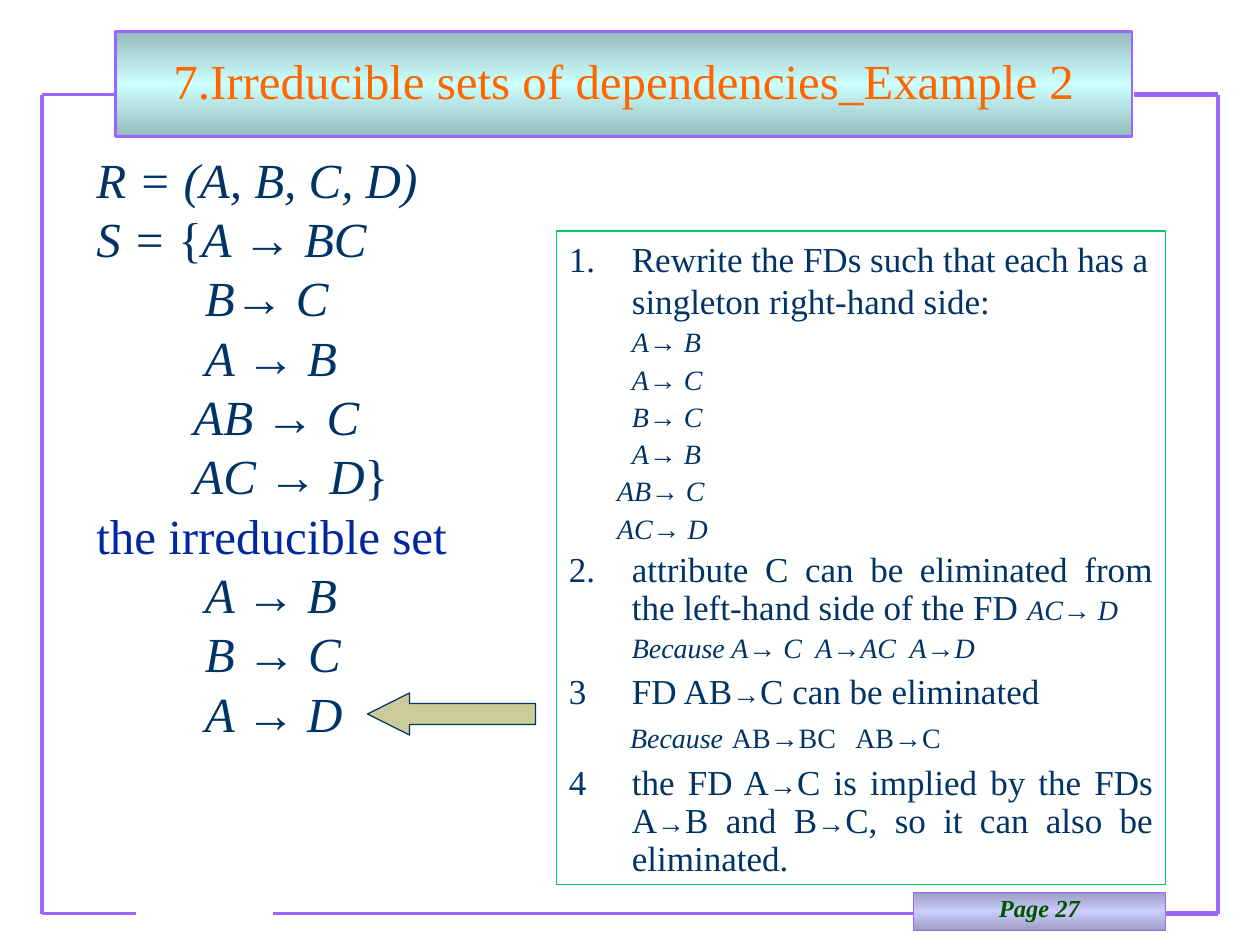
"""Build the slide on irreducible sets of dependencies."""
from copy import deepcopy

from lxml import etree
from pptx import Presentation
from pptx import util as u
from pptx.dml.color import RGBColor
from pptx.enum import shapes, text
from pptx.oxml.ns import qn

VIOLET = RGBColor(0x99, 0x66, 0xFF)
NAVY = RGBColor(0x00, 0x33, 0x66)
BLUE = RGBColor(0x00, 0x27, 0x9F)
ORANGE = RGBColor(0xFF, 0x66, 0x00)
DARK_GREEN = RGBColor(0x00, 0x54, 0x00)
GREEN = RGBColor(0x00, 0xCC, 0x66)
KHAKI = RGBColor(0xCC, 0xCC, 0x99)
TEAL, CYAN = RGBColor(0x96, 0xBB, 0xBB), RGBColor(0xCC, 0xFF, 0xFF)
SLATE, LILAC = RGBColor(0x9C, 0x9C, 0xC3), RGBColor(0xCC, 0xCC, 0xFF)

SERIF, SANS = "Times New Roman", "Arial"
ARROW = "→"
JUSTIFY, CENTER, LEFT = text.PP_ALIGN.JUSTIFY, text.PP_ALIGN.CENTER, text.PP_ALIGN.LEFT


def add_line(page, x1, y1, x2, y2, width=2.25):
    """Draw one straight piece of the page frame."""
    line = page.shapes.add_connector(
        shapes.MSO_CONNECTOR.STRAIGHT, u.Pt(x1), u.Pt(y1), u.Pt(x2), u.Pt(y2))
    line.line.color.rgb = VIOLET
    line.line.width = u.Pt(width)
    etree.SubElement(line._element.spPr, qn("a:effectLst"))


def add_box(page, kind, left, top, width, height, outline, line_width=0.75):
    """Add an outlined, unfilled preset shape without shadow."""
    box = page.shapes.add_shape(kind, u.Pt(left), u.Pt(top), u.Pt(width), u.Pt(height))
    box.shadow.inherit = False
    box.fill.background()
    box.line.color.rgb = outline
    box.line.width = u.Pt(line_width)
    return box


def fill_gradient(box, edge, middle):
    """Fill a shape with a vertical gradient that is mirrored at its middle."""
    box.fill.gradient()
    box.fill.gradient_angle = 90
    stop_list = box._element.spPr.find(qn("a:gradFill")).find(qn("a:gsLst"))
    stop_list.append(deepcopy(stop_list[0]))
    for stop, position, color in zip(box.fill.gradient_stops, (0, 0.5, 1), (edge, middle, edge)):
        stop.position = position
        stop.color.rgb = color


def start_text(box, anchor=text.MSO_ANCHOR.TOP):
    """Turn on wrapping and return the text frame."""
    frame = box.text_frame
    frame.word_wrap = True
    frame.vertical_anchor = anchor
    return frame


def add_para(frame, spans, size, spacing, before=0, color=NAVY, italic=False, bold=False,
             align=JUSTIFY, indent=0, hanging=0, number=None):
    """Write a paragraph; spans are a string or (string, size, italic) triples."""
    first = not frame.paragraphs[0].runs
    para = frame.paragraphs[0] if first else frame.add_paragraph()
    para.alignment = align
    para.line_spacing = u.Pt(spacing)
    para.space_before = u.Pt(0 if first else before)
    properties = para._p.get_or_add_pPr()
    properties.set("marL", str(u.Pt(indent)))
    properties.set("indent", str(u.Pt(-hanging)))
    if number:
        etree.SubElement(properties, qn("a:buFont"), typeface=SERIF)
        etree.SubElement(properties, qn("a:buAutoNum"), type="arabicPeriod", startAt=str(number))
    font = para.font
    font.name, font.size, font.italic, font.bold = SERIF, u.Pt(size), italic, bold
    font.color.rgb = color
    if isinstance(spans, str):
        spans = [(spans, size, italic)]
    for words, span_size, span_italic in spans:
        for index, part in enumerate(words.split(ARROW)):
            pieces = [(ARROW, SANS)] if index else []
            for piece, name in pieces + [(part, SERIF)]:
                if not piece:
                    continue
                span = para.add_run()
                span.text = piece
                if name != SERIF:
                    span.font.name = name
                if span_size != size:
                    span.font.size = u.Pt(span_size)
                if span_italic != italic:
                    span.font.italic = span_italic


def add_frame(page):
    """Draw the frame lines around the page."""
    left, right, top, bottom = 24, 696, 54, 522
    add_line(page, 66, top, left, top)
    add_line(page, left, top, left, bottom)
    add_line(page, left, bottom, 78, bottom)
    add_line(page, 648, top, right, top, 3)
    add_line(page, right, top, right, bottom)
    add_line(page, 666, bottom, right, bottom, 3)
    add_line(page, 156, bottom, 522, bottom)


def add_banners(page):
    """Add the page number and the title on gradient bars."""
    rectangle = shapes.MSO_SHAPE.RECTANGLE
    number = add_box(page, rectangle, 522, 510, 144, 21.6, VIOLET)
    fill_gradient(number, SLATE, LILAC)
    add_para(start_text(number), "Page 27", 14, 13.4, color=DARK_GREEN,
             italic=True, bold=True, align=CENTER)
    title = add_box(page, rectangle, 66, 18, 581, 60, VIOLET, 1.5)
    fill_gradient(title, TEAL, CYAN)
    add_para(start_text(title, text.MSO_ANCHOR.MIDDLE),
             "7.Irreducible sets of dependencies_Example 2", 28, 28.6,
             color=ORANGE, align=CENTER)


def add_problem(page):
    """Write the relation, its dependencies and the irreducible set."""
    box = page.shapes.add_textbox(u.Pt(48), u.Pt(88.5), u.Pt(626.5), u.Pt(372))
    frame = start_text(box)
    single, double = 62, 55.5
    rows = [
        ("R = (A, B, C, D)", 0),
        ([("S = ", 28, True), ("{", 28, False), ("A → BC", 28, True)], 0),
        ("B→ C", single),
        ("A → B", single),
        ("AB → C", double),
        ([("AC → D", 28, True), ("}", 28, False)], double),
    ]
    result = [(words, single) for words in ("A → B", "B → C", "A → D")]
    style = dict(size=28, spacing=26.9, before=7)
    for words, indent in rows:
        add_para(frame, words, italic=True, indent=indent, **style)
    add_para(frame, "the irreducible set", color=BLUE, **style)
    for words, indent in result:
        add_para(frame, words, italic=True, indent=indent, **style)


def add_steps(page):
    """Write the numbered derivation in the outlined panel."""
    panel = add_box(page, shapes.MSO_SHAPE.RECTANGLE, 318, 132, 348, 373.5, GREEN)
    frame = start_text(panel)
    step = dict(size=20, spacing=21.6, indent=36, hanging=36)
    detail = dict(size=16, spacing=17.3, before=4, italic=True)
    arrow = (ARROW, 16, True)
    add_para(frame, "Rewrite the FDs such that each has a singleton right-hand side:",
             number=1, align=LEFT, **{**step, "spacing": 24})
    for words in ("A→ B", "A→ C", "B→ C", "A→ B", "AB→ C", "AC→ D"):
        add_para(frame, words, indent=36 if words[1] == ARROW else 27.5, **detail)
    add_para(frame, [("attribute C can be eliminated from the left-hand side of the FD ", 20, False),
                     ("AC→ D", 16, True)], number=2, before=4, **step)
    add_para(frame, "Because A→ C  A→AC  A→D", indent=36, **detail)
    add_para(frame, [("3\tFD AB", 20, False), arrow, ("C can be eliminated", 20, False)],
             before=5, **step)
    add_para(frame, [("Because", 16, True), (" ", 20, False), ("AB→BC   AB→C", 16, False)],
             20, 21.6, before=4, indent=35)
    add_para(frame, [("4\tthe FD A", 20, False), arrow,
                     ("C is implied by the FDs A", 20, False), arrow,
                     ("B and B", 20, False), arrow,
                     ("C, so it can also be eliminated.", 20, False)], before=5, **step)


def add_pointer(page):
    """Add the arrow from the panel to the last dependency."""
    pointer = add_box(page, shapes.MSO_SHAPE.LEFT_ARROW, 210, 396, 96, 24, NAVY)
    pointer.fill.solid()
    pointer.fill.fore_color.rgb = KHAKI
    pointer.adjustments[0] = 0.5
    pointer.adjustments[1] = 1


def main():
    """Build and save the deck."""
    deck = Presentation()
    deck.slide_width, deck.slide_height = u.Pt(720), u.Pt(540)
    page = deck.slides.add_slide(deck.slide_layouts[6])
    add_frame(page)
    add_banners(page)
    add_problem(page)
    add_steps(page)
    add_pointer(page)
    deck.save("out.pptx")


if __name__ == "__main__":
    main()
